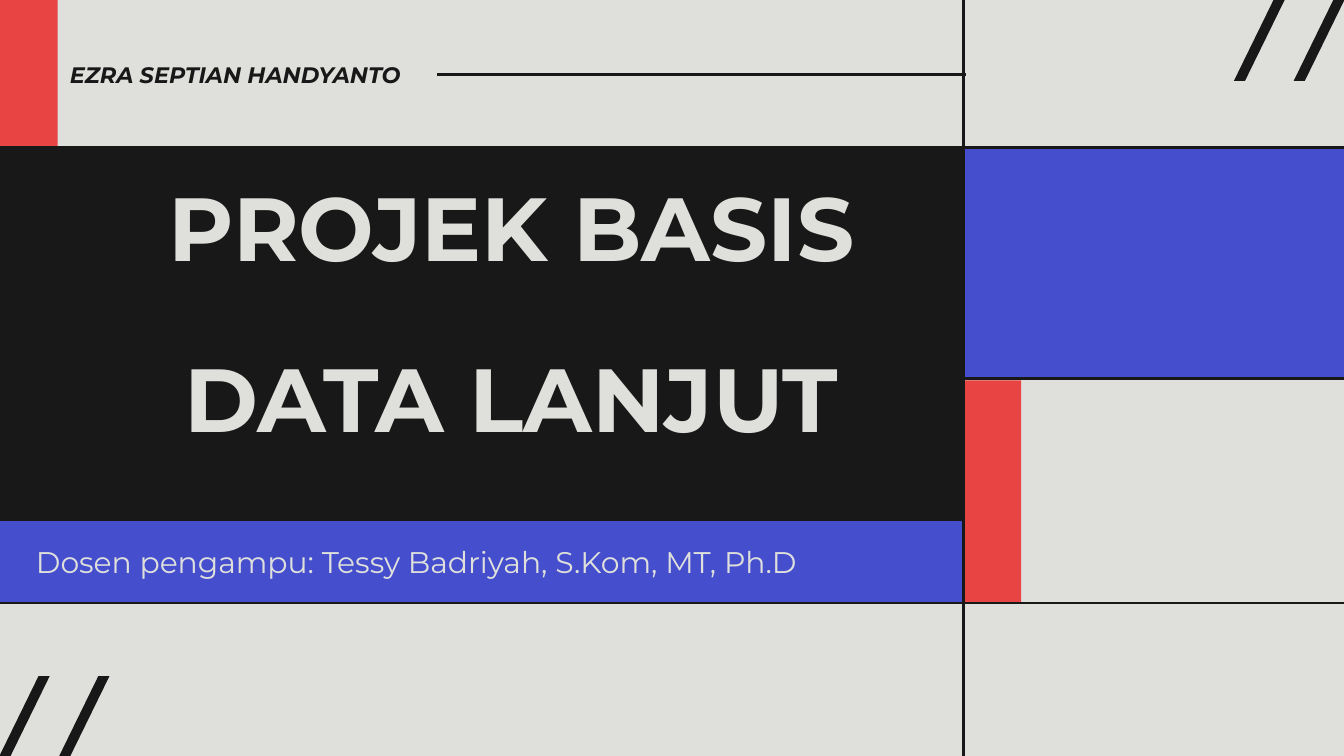
"""Build the title slide of a database project with a colour-block grid."""
import pptx
import pptx.util
import pptx.dml.color
import pptx.enum.shapes
import pptx.enum.text
import pptx.oxml.ns
from lxml import etree

Cm, Pt = pptx.util.Cm, pptx.util.Pt
RGBColor = pptx.dml.color.RGBColor
MSO_SHAPE = pptx.enum.shapes.MSO_SHAPE
PP_ALIGN = pptx.enum.text.PP_ALIGN
MSO_ANCHOR = pptx.enum.text.MSO_ANCHOR

PAPER = RGBColor(0xDF, 0xE0, 0xDC)
INK = RGBColor(0x18, 0x18, 0x18)
RED = RGBColor(0xE8, 0x44, 0x43)
BLUE = RGBColor(0x45, 0x4F, 0xCE)

WIDTH, HEIGHT = 25.4, 14.29
COLUMN, TOP, MIDDLE, BOTTOM = 18.21, 2.79, 7.16, 11.4
BAR = 1.09

prs = pptx.Presentation()
prs.slide_width, prs.slide_height = Cm(WIDTH), Cm(HEIGHT)
s = prs.slides.add_slide(prs.slide_layouts[6])
s.background.fill.solid()
s.background.fill.fore_color.rgb = PAPER


def add_block(kind, x, y, w, h, fill, outlined):
    sp = s.shapes.add_shape(kind, Cm(x), Cm(y), Cm(w), Cm(h))
    sp.shadow.inherit = False
    if fill is None:
        sp.fill.background()
    else:
        sp.fill.solid()
        sp.fill.fore_color.rgb = fill
    if outlined:
        sp.line.color.rgb = INK
        sp.line.width = Pt(1.5)
    else:
        sp.line.fill.background()
    return sp


def add_text(x, y, w, h, lines, size, color, bold=False, italic=False):
    tf = s.shapes.add_textbox(Cm(x), Cm(y), Cm(w), Cm(h)).text_frame
    tf.word_wrap = True
    tf.margin_left = tf.margin_right = Cm(0.25)
    tf.margin_top = tf.margin_bottom = Cm(0.25)
    tf.text = lines
    for p in tf.paragraphs:
        for r in p.runs:
            r.font.name = "Montserrat"
            r.font.size = Pt(size)
            r.font.bold = bold
            r.font.italic = italic
            r.font.color.rgb = color
    return tf


for left, top in ((-0.23, 12.78), (23.32, -0.43)):
    for i in range(2):
        slash = add_block(MSO_SHAPE.PARALLELOGRAM, left + i * 1.13, top,
                          1.17, 1.96, INK, False)
        slash.adjustments[0] = 0.82

for x, y, w, h, fill, outlined in (
    (0, -0.03, BAR, TOP + 0.03, RED, False),
    (COLUMN, MIDDLE, 7.26, BOTTOM - MIDDLE, None, True),
    (COLUMN, TOP, 7.26, MIDDLE - TOP, BLUE, True),
    (0, TOP, COLUMN, 8, INK, True),
    (-0.03, 9.83, COLUMN + 0.03, BOTTOM - 9.83, BLUE, True),
    (COLUMN, 7.19, BAR, 4.19, RED, False),
):
    add_block(MSO_SHAPE.RECTANGLE, x, y, w, h, fill, outlined)

for x1, y1, x2, y2 in ((8.26, 1.41, 18.26, 1.41), (COLUMN, 0, COLUMN, HEIGHT)):
    line = s.shapes.add_connector(pptx.enum.shapes.MSO_CONNECTOR.STRAIGHT,
                                  Cm(x1), Cm(y1), Cm(x2), Cm(y2))
    line.line.color.rgb = INK
    line.line.width = Pt(1.5)
    etree.SubElement(line._element.spPr, pptx.oxml.ns.qn("a:effectLst"))

tf = add_text(2.17, 3.4, 14.99, 6.93, "PROJEK BASIS\nDATA LANJUT", 48, PAPER, bold=True)
for p in tf.paragraphs:
    p.alignment = PP_ALIGN.CENTER
    p.line_spacing = 0.8
    p.space_after = Pt(45.4)

add_text(0.43, 10.03, 15.8, 1.19,
         "Dosen pengampu: Tessy Badriyah, S.Kom, MT, Ph.D", 16, PAPER)

tf = add_text(1.07, 1.17, 7.62, 0.48, "EZRA SEPTIAN HANDYANTO", 12, INK,
              bold=True, italic=True)
tf.vertical_anchor = MSO_ANCHOR.MIDDLE

prs.save("out.pptx")
